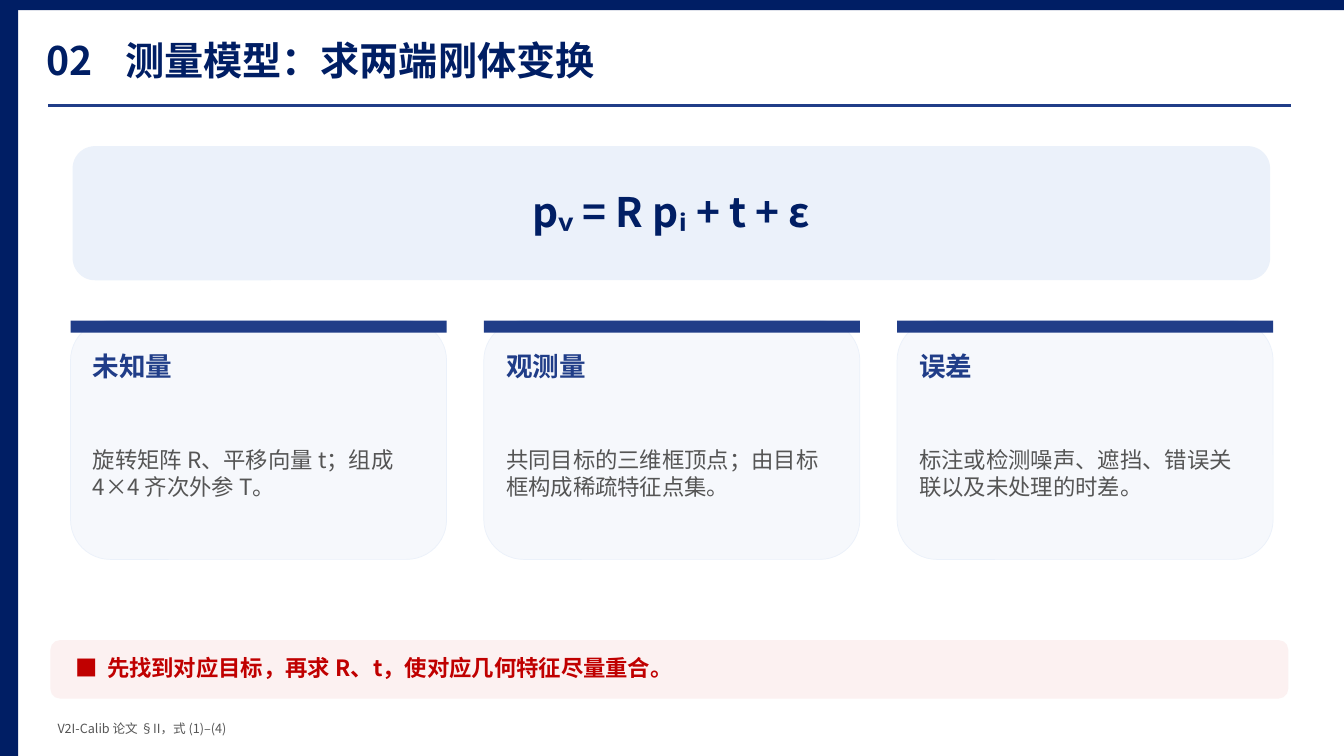
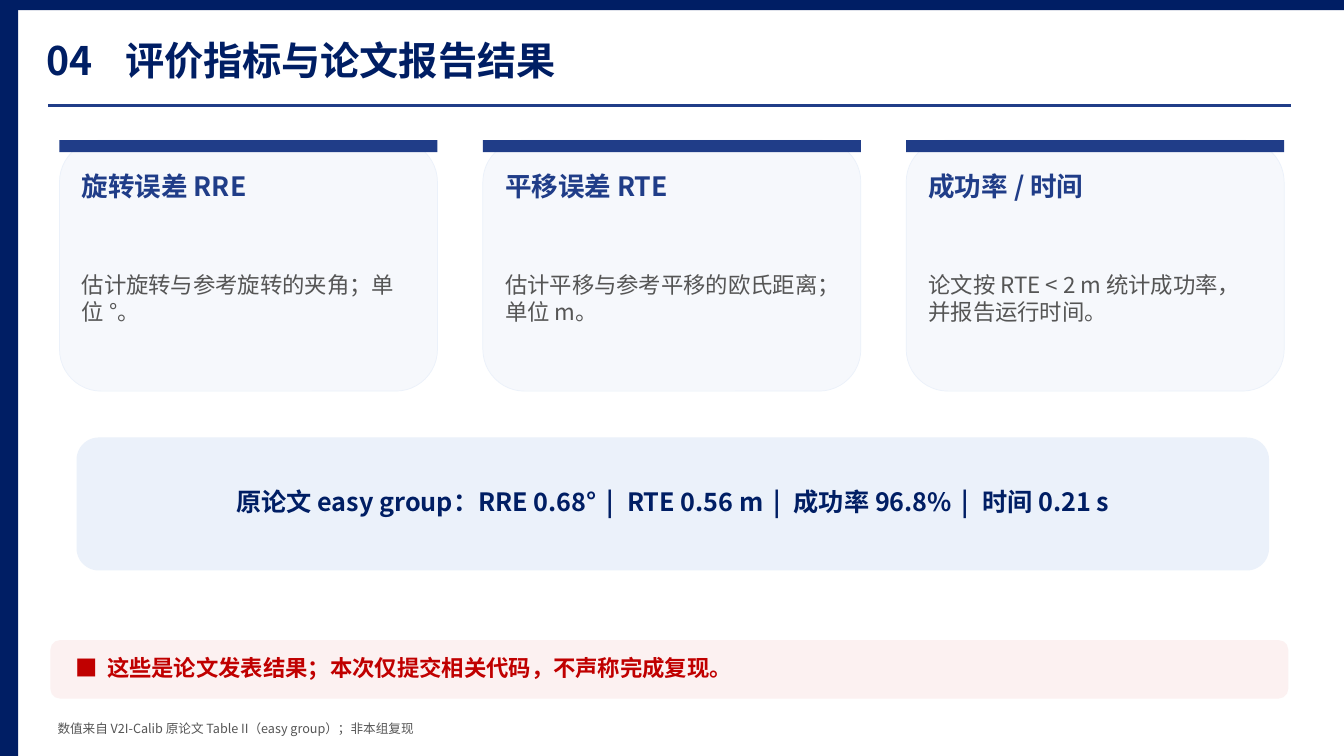
import pptx
import pptx.util
import pptx.dml.color
import pptx.enum.shapes
import pptx.enum.text
import pptx.oxml.ns
from dataclasses import dataclass
from lxml import etree

Pt = pptx.util.Pt
Shape = pptx.enum.shapes.MSO_SHAPE
Anchor = pptx.enum.text.MSO_ANCHOR
Align = pptx.enum.text.PP_ALIGN
qn = pptx.oxml.ns.qn


@dataclass(frozen=True)
class Theme:
    font: str = "Noto Sans CJK SC"
    navy: str = "001E64"
    blue: str = "203D88"
    grey: str = "555555"
    red: str = "C00000"
    panel: str = "EBF1FA"
    card: str = "F6F8FC"
    blush: str = "FCF1F1"
    title_size: float = 28
    heading_size: float = 19
    body_size: float = 16
    source_size: float = 9
    inset: float = 2.9
    panel_bottom: float = 6
    after: float = 3
    separator_spacing: float = 2.7


THEME = Theme()
WIDTH, HEIGHT = 960, 540
RAIL, BAND = 13, 7.2
CARD_BAR, CARD_PAD = 8.64, 13

SLIDES = [
    {
        "number": "02",
        "title": "测量模型：求两端刚体变换",
        "panel": {"at": (51.84, 104.4, 855.4, 95.8), "size": 29, "parts": ["pᵥ = R pᵢ + t + ε"]},
        "grid": {"left": 50.4, "top": 229, "width": 268.6, "height": 170.6, "gap": 26.6},
        "cards": [
            ("未知量", "旋转矩阵 R、平移向量 t；组成 4×4 齐次外参 T。"),
            ("观测量", "共同目标的三维框顶点；由目标框构成稀疏特征点集。"),
            ("误差", "标注或检测噪声、遮挡、错误关联以及未处理的时差。"),
        ],
        "takeaway": "先找到对应目标，再求 R、t，使对应几何特征尽量重合。",
        "source": "V2I-Calib 论文 §II，式 (1)–(4)",
    },
    {
        "number": "04",
        "title": "评价指标与论文报告结果",
        "panel": {
            "at": (54.7, 312.5, 851.8, 95),
            "size": 18,
            "parts": ["原论文 easy group：RRE 0.68°", "RTE 0.56 m", "成功率 96.8%", "时间 0.21 s"],
        },
        "grid": {"left": 42.5, "top": 100.1, "width": 270, "height": 179.3, "gap": 32.4},
        "cards": [
            ("旋转误差 RRE", "估计旋转与参考旋转的夹角；单位 °。"),
            ("平移误差 RTE", "估计平移与参考平移的欧氏距离；单位 m。"),
            ("成功率 / 时间", "论文按 RTE < 2 m 统计成功率，并报告运行时间。"),
        ],
        "takeaway": "这些是论文发表结果；本次仅提交相关代码，不声称完成复现。",
        "source": "数值来自 V2I-Calib 原论文 Table II（easy group）；非本组复现",
    },
]


def color(code):
    return pptx.dml.color.RGBColor.from_string(code)


def points(at):
    return [Pt(value) for value in at]


def add_block(page, kind, at, fill, line=None):
    block = page.shapes.add_shape(kind, *points(at))
    block.shadow.inherit = False
    block.fill.solid()
    block.fill.fore_color.rgb = color(fill)
    if line:
        block.line.color.rgb = color(line)
        block.line.width = Pt(0.5)
    else:
        block.line.fill.background()
    return block


def add_span(para, text, size, ink, bold):
    span = para.add_run()
    span.text = text
    span.font.name = THEME.font
    span.font.size = Pt(size)
    span.font.bold = bold
    span.font.color.rgb = color(ink)
    etree.SubElement(span.font._element, qn("a:ea"), typeface=THEME.font)
    return span


def prepare(shape, align=Align.LEFT, left=THEME.inset, bottom=THEME.inset):
    box = shape.text_frame
    box.word_wrap = True
    box.auto_size = pptx.enum.text.MSO_AUTO_SIZE.NONE
    box.vertical_anchor = Anchor.MIDDLE
    box.margin_left, box.margin_bottom = Pt(left), Pt(bottom)
    box.margin_top = box.margin_right = Pt(THEME.inset)
    para = box.paragraphs[0]
    para.alignment = align
    para.space_before, para.space_after = Pt(0), Pt(THEME.after)
    return para


def add_label(page, at, text, size, ink, bold=False):
    label = page.shapes.add_textbox(*points(at))
    add_span(prepare(label), text, size, ink, bold)


def add_frame(page, content):
    add_block(page, Shape.RECTANGLE, (0, 0, RAIL, HEIGHT), THEME.navy)
    add_block(page, Shape.RECTANGLE, (RAIL, 0, WIDTH - RAIL, BAND), THEME.navy)
    add_label(page, (30.2, 23, 51.8, 39.6), content["number"], THEME.title_size, THEME.navy, True)
    title = page.shapes.title
    title.left, title.top, title.width, title.height = points((86.4, 21.6, 824.4, 41.8))
    add_span(prepare(title), content["title"], THEME.title_size, THEME.navy, True)
    rule = page.shapes.add_connector(
        pptx.enum.shapes.MSO_CONNECTOR.STRAIGHT, *points((34.6, 75.2, 922.4, 75.2)))
    rule.line.color.rgb = color(THEME.blue)
    rule.line.width = Pt(2.2)
    etree.SubElement(rule._element.spPr, qn("a:effectLst"))
    add_label(page, (38.2, 512.6, 856.8, 15.8), content["source"], THEME.source_size, THEME.grey)


def add_panel(page, panel):
    block = add_block(page, Shape.ROUNDED_RECTANGLE, panel["at"], THEME.panel)
    para = prepare(block, Align.CENTER, bottom=THEME.panel_bottom)
    for index, part in enumerate(panel["parts"]):
        if index:
            separator = add_span(para, " | ", panel["size"], THEME.navy, True)
            separator.font._element.set("spc", str(round(THEME.separator_spacing * 100)))
        add_span(para, part, panel["size"], THEME.navy, True)


def add_cards(page, grid, cards):
    top, width, height = grid["top"], grid["width"], grid["height"]
    for index, (heading, body) in enumerate(cards):
        left = grid["left"] + index * (width + grid["gap"])
        text_left, text_width = left + CARD_PAD, width - 2 * CARD_PAD
        add_block(page, Shape.ROUNDED_RECTANGLE, (left, top, width, height), THEME.card, THEME.panel)
        add_block(page, Shape.RECTANGLE, (left, top, width, CARD_BAR), THEME.blue)
        add_label(page, (text_left, top + 17.3, text_width, 30.2),
                  heading, THEME.heading_size, THEME.blue, True)
        add_label(page, (text_left, top + 55.4, text_width, height - 64),
                  body, THEME.body_size, THEME.grey)


def add_takeaway(page, text):
    block = add_block(page, Shape.ROUNDED_RECTANGLE, (36, 457.2, 884.2, 41.8), THEME.blush)
    para = prepare(block, left=CARD_PAD + THEME.inset, bottom=THEME.panel_bottom)
    properties = para._p.get_or_add_pPr()
    hang = int(Pt(22.5))
    properties.set("marL", str(hang))
    properties.set("indent", str(-hang))
    etree.SubElement(properties, qn("a:buFont"), typeface=THEME.font)
    etree.SubElement(properties, qn("a:buChar"), char="■")
    add_span(para, text, THEME.body_size, THEME.red, True)


def main():
    deck = pptx.Presentation()
    deck.slide_width, deck.slide_height = Pt(WIDTH), Pt(HEIGHT)
    title_only = deck.slide_layouts[5]
    for content in SLIDES:
        page = deck.slides.add_slide(title_only)
        add_frame(page, content)
        add_panel(page, content["panel"])
        add_cards(page, content["grid"], content["cards"])
        add_takeaway(page, content["takeaway"])
    deck.save("out.pptx")


if __name__ == "__main__":
    main()
